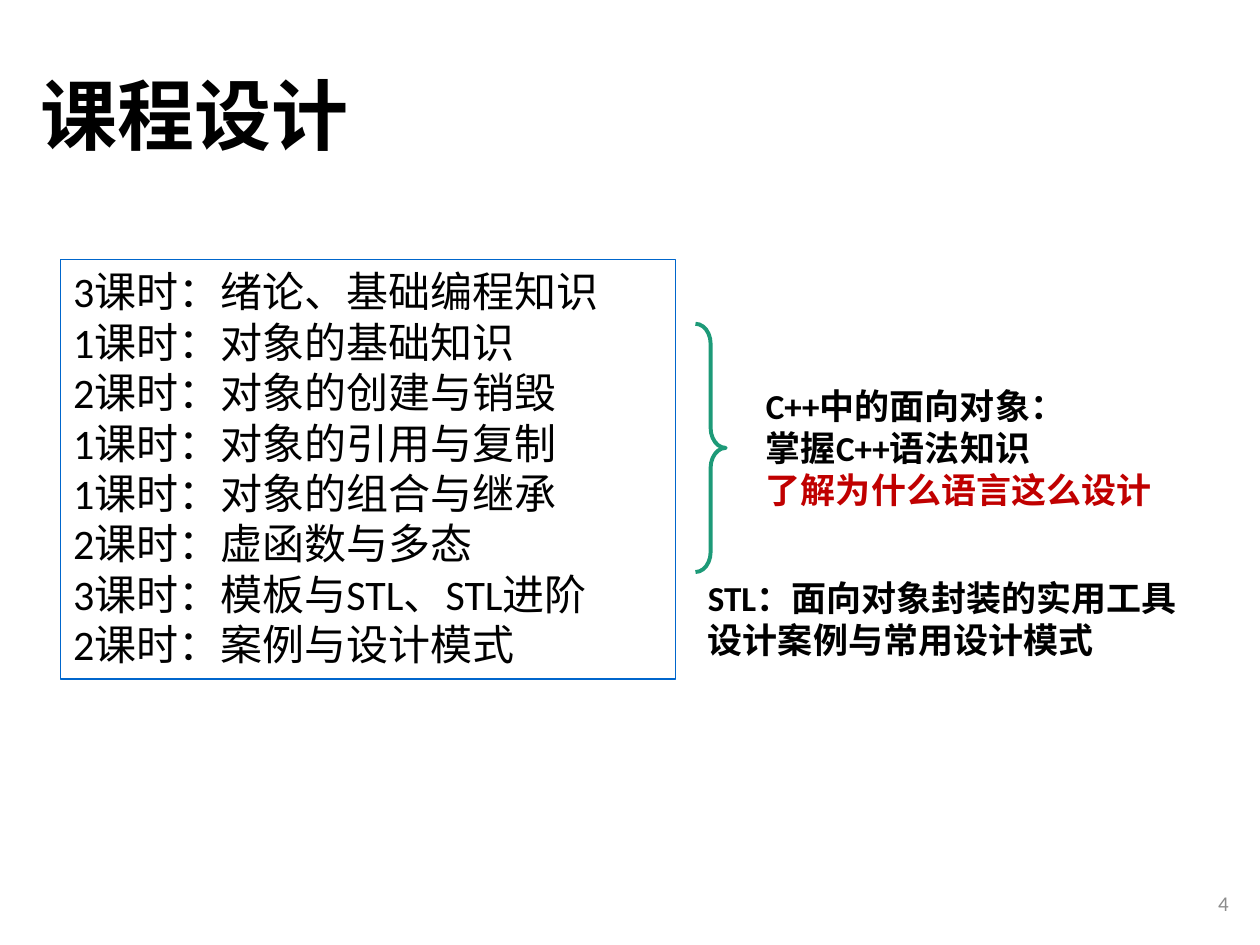
from dataclasses import dataclass
from pptx import Presentation
from pptx.dml.color import RGBColor as RGB
from pptx.enum.shapes import MSO_SHAPE as SHAPE
from pptx.enum.text import MSO_ANCHOR as ANCHOR, MSO_AUTO_SIZE as AUTO, PP_ALIGN as ALIGN
from pptx.oxml.ns import qn
from pptx.util import Pt


@dataclass
class Theme:
    text: str = "000000"
    accent: str = "C00000"
    border: str = "0066CC"
    brace: str = "1D9A78"
    muted: str = "8C8C8C"
    latin: str = "Calibri"
    cjk: str = "Noto Sans CJK SC"
    title: int = 44
    lesson: int = 24
    note: int = 20
    number: int = 12


theme = Theme()


def place(sp, left, top, width, height):
    sp.left, sp.top, sp.width, sp.height = Pt(left), Pt(top), Pt(width), Pt(height)


def write(sp, text, size, color, bold=False, font=theme.latin, anchor=ANCHOR.TOP):
    tf = sp.text_frame
    tf.text = text
    tf.word_wrap = True
    tf.auto_size = AUTO.NONE
    tf.vertical_anchor = anchor
    for p in tf.paragraphs:
        p.space_before = Pt(0)
        for r in p.runs:
            r.font.name = font
            r.font.size = Pt(size)
            r.font.bold = bold
            r.font.color.rgb = RGB.from_string(color)
            ea = r._r.get_or_add_rPr().makeelement(qn("a:ea"), {"typeface": theme.cjk})
            r.font._element.find(qn("a:latin")).addnext(ea)
    return tf


prs = Presentation()
prs.slide_width, prs.slide_height = Pt(720), Pt(540)
s = prs.slides.add_slide(prs.slide_layouts[1])

title = s.shapes.title
place(title, 15.84, 15.84, 689.76, 104.4)
tf = write(title, "课程设计", theme.title, theme.text, True, theme.cjk, ANCHOR.MIDDLE)
tf.paragraphs[0].alignment = ALIGN.LEFT
tf.paragraphs[0].line_spacing = 0.9

lessons = [
    (3, "绪论、基础编程知识"),
    (1, "对象的基础知识"),
    (2, "对象的创建与销毁"),
    (1, "对象的引用与复制"),
    (1, "对象的组合与继承"),
    (2, "虚函数与多态"),
    (3, "模板与STL、STL进阶"),
    (2, "案例与设计模式"),
]
plan = s.placeholders[1]
place(plan, 34.56, 148.32, 351.36, 239.76)
plan.line.color.rgb = RGB.from_string(theme.border)
plan.line.width = Pt(0.75)
plan_text = "\n".join(f"{hours}课时：{topic}" for hours, topic in lessons)
tf = write(plan, plan_text, theme.lesson, theme.text)
for p in tf.paragraphs:
    pPr = p._p.get_or_add_pPr()
    pPr.set("marL", str(Pt(22.5)))
    pPr.set("indent", str(-Pt(22.5)))
    pPr.append(pPr.makeelement(qn("a:buNone"), {}))

brace = s.shapes.add_shape(SHAPE.RIGHT_BRACE, Pt(397.44), Pt(185.04), Pt(17.28), Pt(141.84))
brace.adjustments[0] = 0.66
brace.shadow.inherit = False
brace.fill.background()
brace.line.color.rgb = RGB.from_string(theme.brace)
brace.line.width = Pt(2.25)

notes = [
    ("C++中的面向对象：\n掌握C++语法知识\n了解为什么语言这么设计", 430.56, 216, 236.88, 79.92),
    ("STL：面向对象封装的实用工具\n设计案例与常用设计模式", 397.44, 326.16, 285.12, 55.44),
]
frames = []
for text, *box in notes:
    note = s.shapes.add_textbox(*map(Pt, box))
    frames.append(write(note, text, theme.note, theme.text, True))
frames[0].paragraphs[-1].runs[0].font.color.rgb = RGB.from_string(theme.accent)

number = s.shapes.add_textbox(Pt(547.2), Pt(501.84), Pt(162), Pt(28.8))
tf = write(number, "4", theme.number, theme.muted, anchor=ANCHOR.MIDDLE)
tf.paragraphs[0].alignment = ALIGN.RIGHT

prs.save("out.pptx")
